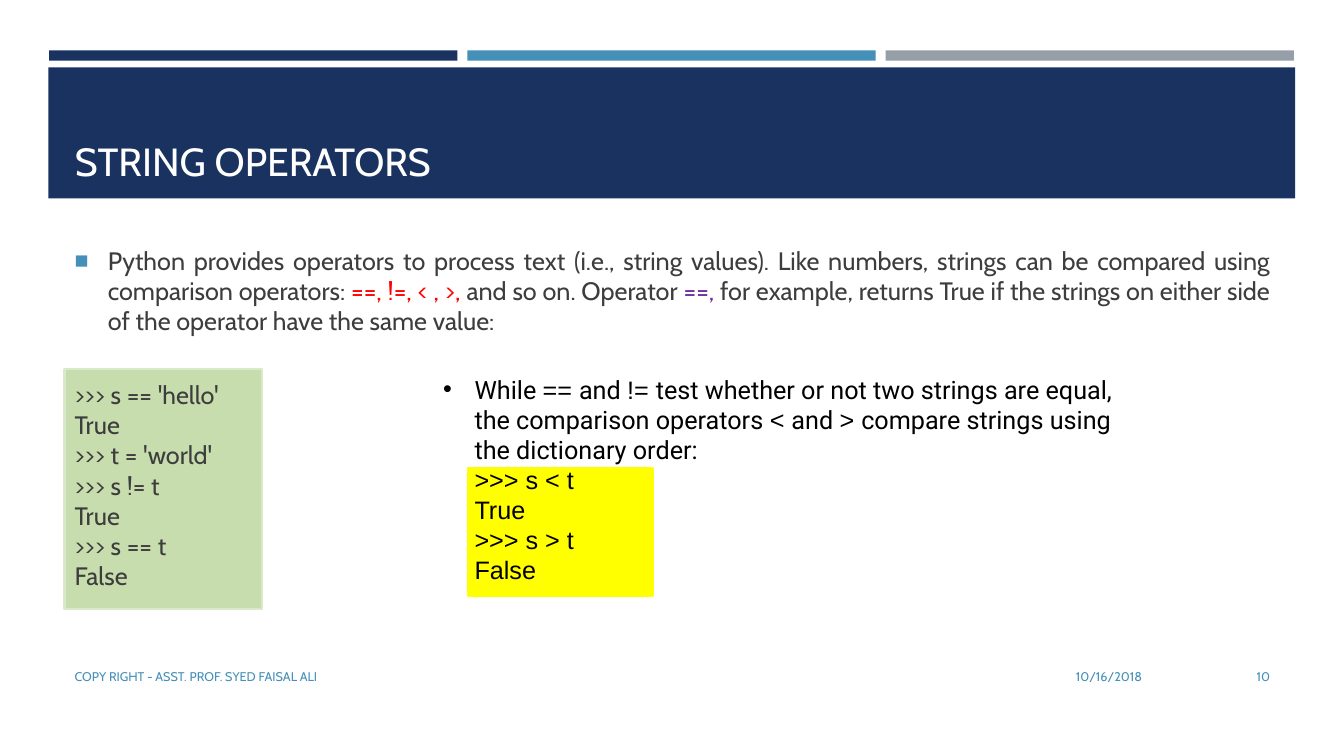
from lxml.etree import SubElement
from pptx import Presentation
from pptx.dml.color import RGBColor
from pptx.enum.shapes import MSO_SHAPE as Shape
from pptx.enum.text import MSO_ANCHOR as Anchor, MSO_AUTO_SIZE as AutoSize, PP_ALIGN as Align
from pptx.oxml.ns import qn
from pptx.util import Cm, Pt

NAVY, BLUE, GREY = "1A3260", "4590B8", "969FA7"
TEXT, BLACK, RED, PURPLE = "3D3D3D", "000000", "FF0000", "7030A0"


def style(runs, font, size, color):
    for run in runs:
        run.font.name = font
        run.font.size = Pt(size)
        run.font.color.rgb = RGBColor.from_string(color)


def add_bullet(paragraph, char, hang, color, percent):
    props = paragraph._p.get_or_add_pPr()
    props.set("marL", str(Cm(hang)))
    props.set("indent", str(-Cm(hang)))
    SubElement(SubElement(props, qn("a:buClr")), qn("a:srgbClr")).set("val", color)
    SubElement(props, qn("a:buSzPct")).set("val", str(percent * 1000))
    SubElement(props, qn("a:buFont")).set("typeface", "Arial")
    SubElement(props, qn("a:buChar")).set("char", char)


prs = Presentation()
prs.slide_width, prs.slide_height = Cm(33.87), Cm(19.05)
slide = prs.slides.add_slide(prs.slide_layouts[5])
shapes = slide.shapes

# Header bars, title band and code panels: left, top, width, height, fill, line
panels = [(1.24 + 10.54 * i, 1.27, 10.29, 0.26, color, None)
          for i, color in enumerate((NAVY, BLUE, GREY))]
panels += [
    (1.22, 1.7, 31.42, 3.3, NAVY, None),
    (11.79, 11.79, 4.65, 3.23, "FFFF00", "FFFF00"),
    (1.63, 9.3, 4.98, 6.05, "C7DDAD", "DAE9C9"),
]
for left, top, width, height, fill, line in panels:
    panel = shapes.add_shape(Shape.RECTANGLE, Cm(left), Cm(top), Cm(width), Cm(height))
    panel.shadow.inherit = False
    panel.fill.solid()
    panel.fill.fore_color.rgb = RGBColor.from_string(fill)
    if line:
        panel.line.color.rgb = RGBColor.from_string(line)
        panel.line.width = Pt(1.75)
    else:
        panel.line.fill.background()

# Title, brought in front of its band
title = shapes.title
title.element.getparent().append(title.element)
title.left, title.top, title.width, title.height = Cm(1.63), Cm(1.96), Cm(30.63), Cm(2.82)
title.text_frame.text = "STRING OPERATORS"
title.text_frame.vertical_anchor = Anchor.BOTTOM
title.text_frame.auto_size = AutoSize.NONE
heading = title.text_frame.paragraphs[0]
heading.alignment = Align.LEFT
style(heading.runs, "Cabin", 28, "FFFFFF")

# Equality operators, with the first session below
equality = shapes.add_textbox(Cm(1.63), Cm(6.05), Cm(30.63), Cm(10.21)).text_frame
equality.word_wrap = True
intro = equality.paragraphs[0]
intro.alignment = Align.JUSTIFY
intro.space_after = Pt(6)
add_bullet(intro, "■", 0.84, BLUE, 92)
for words, color in (
    ("Python provides operators to process text (i.e., string values). Like numbers, "
     "strings can be compared using comparison operators: ", TEXT),
    ("==, !=, < , >, ", RED),
    ("and so on. Operator ", TEXT),
    ("==,", PURPLE),
    (" for example, returns True if the strings on either side of the operator "
     "have the same value:", TEXT),
):
    run = intro.add_run()
    run.text = words
    style([run], "Cabin", 18, color)
session = equality.add_paragraph()
session.text = ">>> s == 'hello'\nTrue\n>>> t = 'world'\n>>> s != t\nTrue\n>>> s == t\nFalse"
session.space_before = Pt(25)
style(session.runs, "Cabin", 18, TEXT)

# Dictionary order, with the second session below
ordering = shapes.add_textbox(Cm(10.92), Cm(9.3), Cm(17.83), Cm(6.4)).text_frame
ordering.word_wrap = True
rule = ordering.paragraphs[0]
add_bullet(rule, "•", 0.79, BLACK, 100)
for words, font in (
    ("While ", "Roboto"), ("== ", "Arial"), ("and ", "Roboto"), ("!= ", "Arial"),
    ("test whether or not two strings are equal, the comparison operators ", "Roboto"),
    ("< ", "Arial"), ("and ", "Roboto"), ("> ", "Arial"),
    ("compare strings using the dictionary order:", "Roboto"),
):
    run = rule.add_run()
    run.text = words
    style([run], font, 18, BLACK)
session = ordering.add_paragraph()
session.text = ">>> s < t\nTrue\n>>> s > t\nFalse"
session.line_spacing = Pt(21.5)
session._p.get_or_add_pPr().set("marL", str(Cm(0.79)))
style(session.runs, "Arial", 18, BLACK)

# Footer row
for words, left, width, align in (
    ("10/16/2018", 21.13, 7.9, Align.RIGHT),
    ("COPY RIGHT - ASST. PROF. SYED FAISAL ALI", 1.63, 19.2, Align.LEFT),
    ("10", 29.34, 2.92, Align.RIGHT),
):
    footer = shapes.add_textbox(Cm(left), Cm(16.54), Cm(width), Cm(1.02)).text_frame
    footer.word_wrap = True
    footer.vertical_anchor = Anchor.MIDDLE
    footer.text = words
    footer.paragraphs[0].alignment = align
    style(footer.paragraphs[0].runs, "Cabin", 9, BLUE)

prs.save("out.pptx")
